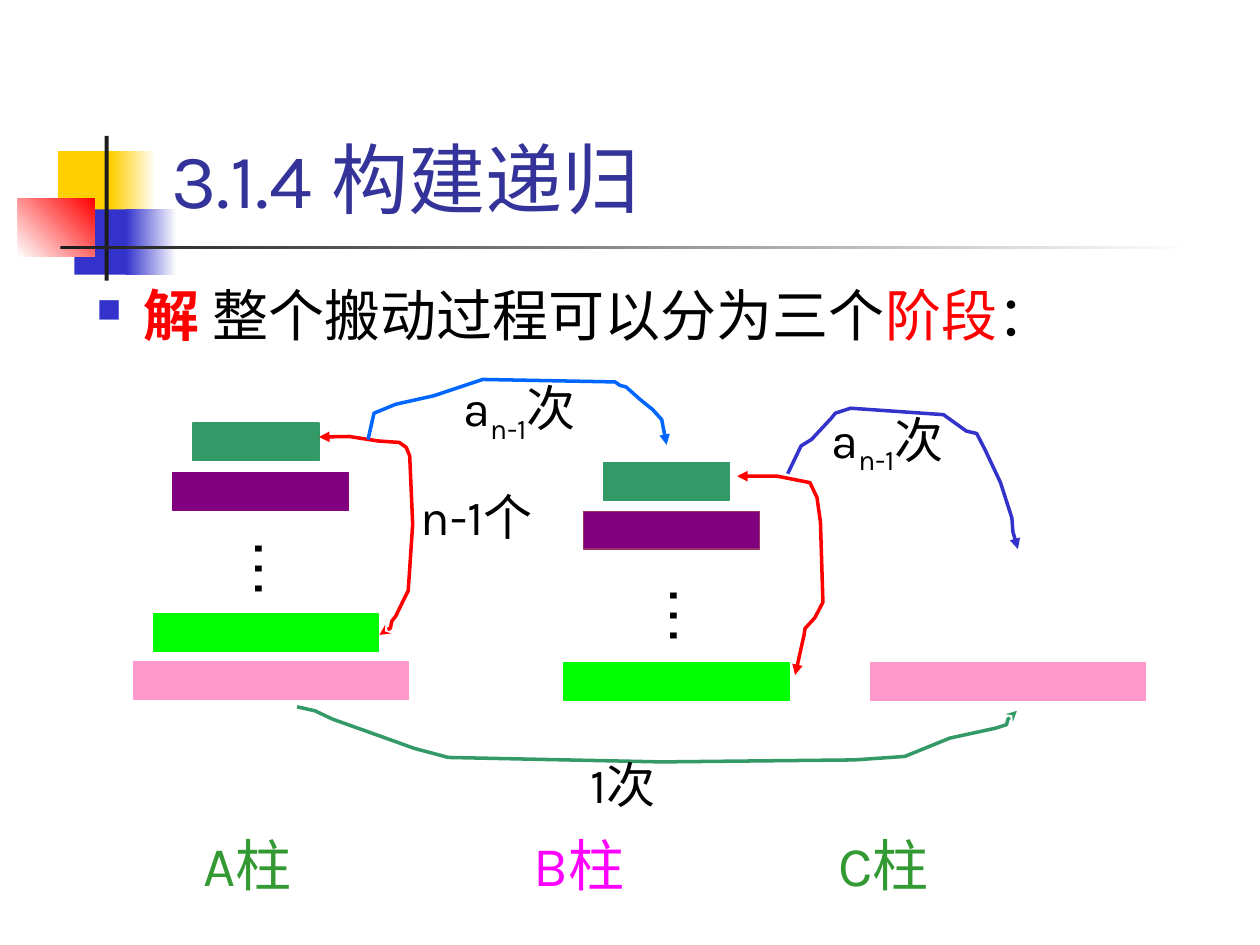
from lxml.etree import SubElement
from pptx import Presentation
from pptx.dml.color import RGBColor
from pptx.enum.shapes import MSO_SHAPE as Preset
from pptx.enum.text import MSO_ANCHOR as Anchor, MSO_AUTO_SIZE as AutoSize, PP_ALIGN as Align
from pptx.oxml.ns import qn
from pptx.util import Cm, Pt


def color(code):
    return RGBColor.from_string(code)


def write(para, text, size=28, fill="000000", font="Karla", bold=False, baseline=0):
    span = para.add_run()
    span.text = text
    span.font.size = Pt(size)
    span.font.name = font
    span.font.bold = bold
    span.font.color.rgb = color(fill)
    if baseline:
        span.font._element.set("baseline", str(baseline * 1000))


deck = Presentation()
deck.slide_width, deck.slide_height = Cm(25.4), Cm(19.05)
page = deck.slides.add_slide(deck.slide_layouts[5])
shapes = page.shapes

# Corner ornament and rule: left, top, width, height, colours, gradient angle
ornament = [
    (1.17, 3.05, 1.22, 1.32, ["FFCF01"], 0),
    (2.24, 3.05, 0.91, 1.32, ["FFCF01", "FFFFFF"], 0),
    (1.5, 4.22, 1.17, 1.32, ["3333CC"], 0),
    (2.54, 4.22, 1.02, 1.32, ["3333CC", "FFFFFF"], 0),
    (0.36, 4.01, 1.55, 1.17, ["FFFFFF", "FF0000"], 45),
    (2.11, 2.74, 0.08, 2.92, ["1C1C1C"], 0),
    (1.22, 4.95, 22.86, 0.08, ["1C1C1C", "FFFFFF"], 0),
]
for left, top, width, height, fills, angle in ornament:
    block = shapes.add_shape(Preset.RECTANGLE, Cm(left), Cm(top), Cm(width), Cm(height))
    block.shadow.inherit = False
    block.line.fill.background()
    if len(fills) == 1:
        block.fill.solid()
        block.fill.fore_color.rgb = color(fills[0])
    else:
        block.fill.gradient()
        block.fill.gradient_angle = angle
        for stop, code in zip(block.fill.gradient_stops, fills):
            stop.color.rgb = color(code)

# Title
title = shapes.title
title.left, title.top, title.width, title.height = Cm(3.2), Cm(0.58), Cm(21.64), Cm(4.06)
title.text_frame.auto_size = AutoSize.NONE
title.text_frame.vertical_anchor = Anchor.BOTTOM
para = title.text_frame.paragraphs[0]
para.alignment = Align.LEFT
write(para, "3.1.4 构建递归", size=44, fill="333399")

# Lead sentence with a square bullet
box = shapes.add_textbox(Cm(1.7), Cm(5.33), Cm(23.16), Cm(2))
box.text_frame.word_wrap = True
para = box.text_frame.paragraphs[0]
para.line_spacing = 1.15
para.space_before = Pt(8)
props = para._p.get_or_add_pPr()
props.set("marL", str(Cm(0.95)))
props.set("indent", str(-Cm(0.95)))
SubElement(SubElement(props, qn("a:buClr")), qn("a:srgbClr")).set("val", "3333CC")
SubElement(props, qn("a:buSzPct")).set("val", "60000")
SubElement(props, qn("a:buChar")).set("char", "■")
write(para, "解", size=32, fill="FF0000", bold=True)
write(para, " 整个搬动过程可以分为三个", size=32)
write(para, "阶段", size=32, fill="FF0000")
write(para, "：", size=32)

# Pillar names
for name, left, fill in [("A柱", 3.85, "339933"), ("B柱", 10.5, "FF00FF"), ("C柱", 16.65, "339933")]:
    box = shapes.add_textbox(Cm(left), Cm(16.42), Cm(4), Cm(2))
    box.text_frame.word_wrap = True
    para = box.text_frame.paragraphs[0]
    para.line_spacing = 1.15
    para.space_before = Pt(8)
    write(para, name, size=32, fill=fill)

# Discs: each larger rank is 1 cm wider and starts 0.4 cm further left
disc_fills = ["339966", "800080", "00FF00", "FF99CC"]
towers = [
    (3.89, {0: 8.53, 1: 9.53, 2: 12.37, 3: 13.34}),
    (12.17, {0: 9.32, 1: 10.31, 2: 13.36}),
    (18.75, {3: 13.36}),
]
for start, tops in towers:
    for rank, top in tops.items():
        disc = shapes.add_shape(Preset.RECTANGLE, Cm(start - 0.4 * rank), Cm(top),
                                Cm(2.54 + rank), Cm(0.76))
        disc.shadow.inherit = False
        disc.fill.solid()
        disc.fill.fore_color.rgb = color(disc_fills[rank])
        framed = start == 12.17 and rank == 1
        disc.line.color.rgb = color("993366" if framed else disc_fills[rank])
        disc.line.width = Pt(0.75)

# Vertical dots for the discs in between
for left, top in [(4.52, 10.59), (12.88, 11.53)]:
    box = shapes.add_textbox(Cm(left), Cm(top), Cm(2.03), Cm(1.52))
    frame = box.text_frame
    frame.word_wrap = False
    frame.auto_size = AutoSize.SHAPE_TO_FIT_TEXT
    frame.margin_left = frame.margin_right = Cm(0.13)
    frame.margin_top = frame.margin_bottom = Cm(0.25)
    frame._txBody.bodyPr.set("vert", "eaVert")
    write(frame.paragraphs[0], "…", size=36, font="Arial")

# Move arrows: colour, head, tail, points in cm
arrows = [
    ("FF0000", "stealth", "triangle", [
        (7.65, 12.8), (7.77, 12.7), (7.87, 12.67), (7.9, 12.52), (7.98, 12.42), (8.1, 12.17),
        (8.23, 11.91), (8.32, 10.57), (8.26, 9.19), (8.19, 9.02), (8.05, 8.92), (7.62, 8.89),
        (7.04, 8.8), (6.43, 8.81)]),
    ("0066FF", None, "triangle", [
        (7.42, 8.86), (7.54, 8.33), (7.98, 8.15), (8.74, 7.98), (9.73, 7.65), (12.4, 7.7),
        (12.5, 7.77), (12.62, 7.8), (12.9, 8.05), (13.16, 8.26), (13.34, 8.46), (13.44, 8.97)]),
    ("339966", "stealth", None, [
        (20.5, 14.33), (20.32, 14.5), (20.29, 14.61), (20.07, 14.68), (19.15, 14.88),
        (18.24, 15.25), (17.22, 15.32), (13.33, 15.36), (9.04, 15.27), (8.36, 15.09),
        (7.44, 14.76), (6.71, 14.5), (6.35, 14.33), (5.99, 14.25)]),
    ("FF0000", "triangle", "triangle", [
        (16.03, 13.61), (16.21, 12.8), (16.23, 12.67), (16.43, 12.45), (16.59, 12.14),
        (16.54, 10.52), (16.47, 10.03), (16.33, 9.73), (15.67, 9.6), (14.86, 9.6)]),
    ("3333CC", None, "triangle", [
        (15.88, 9.55), (16.15, 8.99), (16.36, 8.86), (16.76, 8.43), (16.84, 8.33),
        (17.15, 8.23), (19.02, 8.36), (19.48, 8.69), (19.69, 8.74), (19.86, 9.07),
        (20.17, 9.73), (20.4, 10.44), (20.42, 10.72), (20.52, 11.07)]),
]
for code, head, tail, points in arrows:
    first, *rest = [(Cm(x), Cm(y)) for x, y in points]
    builder = shapes.build_freeform(*first)
    builder.add_line_segments(rest, close=False)
    arrow = builder.convert_to_shape()
    arrow.shadow.inherit = False
    arrow.fill.background()
    arrow.line.color.rgb = color(code)
    arrow.line.width = Pt(2)
    outline = arrow.line._get_or_add_ln()
    SubElement(outline, qn("a:round"))
    for tag, kind in [("a:headEnd", head), ("a:tailEnd", tail)]:
        if kind:
            SubElement(outline, qn(tag)).set("type", kind)

# Move counts: left, top, width, height, runs with their baseline
moves = [("a", 0), ("n-1", -25), ("次", 0)]
counts = [
    (8.23, 9.68, 3.25, 1.45, [("n-1个", 0)]),
    (9.09, 7.49, 4.85, 1.6, moves),
    (16.51, 8.13, 3.05, 2.79, moves),
    (11.66, 15.09, 2.46, 1.45, [("1次", 0)]),
]
for left, top, width, height, runs in counts:
    box = shapes.add_textbox(Cm(left), Cm(top), Cm(width), Cm(height))
    box.text_frame.word_wrap = True
    for text, baseline in runs:
        write(box.text_frame.paragraphs[0], text, baseline=baseline)

deck.save("out.pptx")
